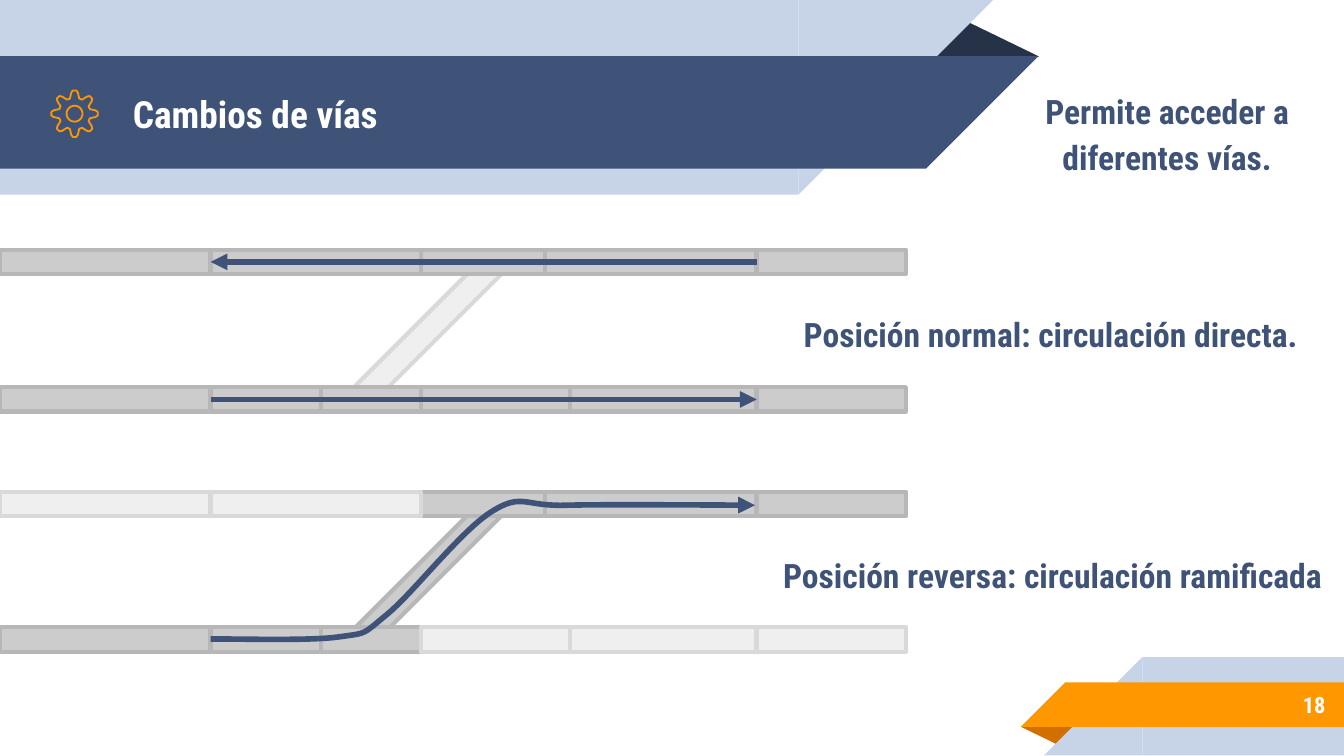
"""Builds the slide on track switches and their two positions."""
import dataclasses
import itertools
import math

import pptx
import pptx.dml.color
import pptx.enum.shapes
import pptx.enum.text
import pptx.oxml
import pptx.oxml.ns
import pptx.util

Cm = pptx.util.Cm
Pt = pptx.util.Pt
SHAPE = pptx.enum.shapes.MSO_SHAPE
ALIGN = pptx.enum.text.PP_ALIGN


@dataclasses.dataclass(frozen=True)
class Theme:
    font: str = "Roboto Condensed"
    white: str = "FFFFFF"
    pale: str = "C7D3E6"
    navy: str = "3F5378"
    night: str = "263248"
    orange: str = "FF9800"
    rust: str = "D26F00"
    active: tuple = ("CCCCCC", "B7B7B7")
    idle: tuple = ("EFEFEF", "D9D9D9")
    title_size: int = 20
    body_size: int = 18
    number_size: int = 12
    gear_line: float = 0.96
    rail_line: float = 2.25
    route_line: float = 3


def rgb(color):
    return pptx.dml.color.RGBColor.from_string(color)


def curve_points(start, segments, steps=16):
    points = [start]
    for segment in segments:
        corners = (points[-1], *segment)
        for step in range(1, steps + 1):
            t = step / steps
            weights = ((1 - t) ** 3, 3 * t * (1 - t) ** 2, 3 * t * t * (1 - t), t ** 3)
            points.append(tuple(sum(w * c[axis] for w, c in zip(weights, corners))
                                for axis in (0, 1)))
    return points


def polar_points(center, profile):
    return [(center[0] + radius * math.sin(math.radians(angle)),
             center[1] - radius * math.cos(math.radians(angle)))
            for angle, radius in profile]


class SlideBuilder:
    def __init__(self, slide, theme):
        self.slide = slide
        self.shapes = slide.shapes
        self.theme = theme

    def shape(self, kind, box, fill, line=None, rotation=0):
        shape = self.shapes.add_shape(kind, *map(Cm, box))
        shape.shadow.inherit = False
        shape.rotation = rotation
        shape.fill.solid()
        shape.fill.fore_color.rgb = rgb(fill)
        if line:
            self.stroke(shape.line, line, self.theme.rail_line)
        else:
            shape.line.fill.background()
        return shape

    def stroke(self, line, color, width, arrow=False):
        line.color.rgb = rgb(color)
        line.width = Pt(width)
        if arrow:
            line._get_or_add_ln().append(pptx.oxml.parse_xml(
                f'<a:tailEnd {pptx.oxml.ns.nsdecls("a")} type="triangle"/>'))

    def fold(self, box, fill, rotation=0):
        self.shape(SHAPE.ISOSCELES_TRIANGLE, box, fill, rotation=rotation).adjustments[0] = 0.324

    def band(self, box, fill, slant_left, rotation):
        left, top, width, height = box
        self.shape(SHAPE.RECTANGLE, box, fill)
        self.shape(SHAPE.RIGHT_TRIANGLE, (slant_left, top, height, height), fill, rotation=rotation)

    def header_band(self, top, width, height, fill):
        self.band((0, top, width, height), fill, width, 90)

    def footer_band(self, left, top, height, fill):
        self.band((left, top, 25.4 - left, height), fill, left - height, 270)

    def rail(self, top, joints, active):
        spans = list(itertools.pairwise(joints))
        for index in sorted(range(len(spans)), key=lambda i: i not in active):
            start, end = spans[index]
            style = self.theme.active if index in active else self.theme.idle
            self.shape(SHAPE.RECTANGLE, (start, top, end - start, 0.46), *style)

    def ramp(self, top, style):
        self.shape(SHAPE.RECTANGLE, (6.25, top, 3.66, 0.46), *style, rotation=135)

    def arrow(self, start, end):
        arrow = self.shapes.add_connector(pptx.enum.shapes.MSO_CONNECTOR.STRAIGHT,
                                          *map(Cm, (*start, *end)))
        self.stroke(arrow.line, self.theme.navy, self.theme.route_line, arrow=True)
        arrow._element.spPr.append(pptx.oxml.parse_xml(
            f'<a:effectLst {pptx.oxml.ns.nsdecls("a")}/>'))

    def outline(self, contours, color, width, close=True, arrow=False):
        contours = [[(Cm(x), Cm(y)) for x, y in contour] for contour in contours]
        builder = self.shapes.build_freeform(*contours[0][0])
        builder.add_line_segments(contours[0][1:], close=close)
        for contour in contours[1:]:
            builder.move_to(*contour[0])
            builder.add_line_segments(contour[1:], close=close)
        shape = builder.convert_to_shape()
        shape.shadow.inherit = False
        shape.fill.background()
        self.stroke(shape.line, color, width, arrow)

    def gear(self, center):
        tooth = ((-17, 0.3), (-9, 0.4), (-4.5, 0.44), (4.5, 0.44), (9, 0.4), (17, 0.3))
        rim = [(turn + angle, radius) for turn in range(0, 360, 45) for angle, radius in tooth]
        hub = [(angle, 0.15) for angle in range(0, 360, 10)]
        self.outline([polar_points(center, rim), polar_points(center, hub)],
                     self.theme.orange, self.theme.gear_line)

    def set_text(self, holder, box, text, size, color, align=ALIGN.LEFT, spacing=1.0):
        holder.left, holder.top, holder.width, holder.height = map(Cm, box)
        frame = holder.text_frame
        frame.text = text
        frame.word_wrap = True
        frame.auto_size = pptx.enum.text.MSO_AUTO_SIZE.NONE
        frame.vertical_anchor = pptx.enum.text.MSO_ANCHOR.MIDDLE
        frame.margin_left = frame.margin_right = Cm(0.25)
        frame.margin_top = frame.margin_bottom = Cm(0.25)
        paragraph = frame.paragraphs[0]
        paragraph.alignment = align
        paragraph.line_spacing = spacing
        paragraph.font.name = self.theme.font
        paragraph.font.size = Pt(size)
        paragraph.font.bold = True
        paragraph.font.color.rgb = rgb(color)

    def title(self, box, text):
        title = self.shapes.title
        self.shapes._spTree.append(title._element)
        self.set_text(title, box, text, self.theme.title_size, self.theme.white)

    def text(self, box, text, *style, **layout):
        self.set_text(self.shapes.add_textbox(*map(Cm, box)), box, text, *style, **layout)


def main():
    deck = pptx.Presentation()
    deck.slide_width, deck.slide_height = Cm(25.4), Cm(14.29)
    theme = Theme()
    page = SlideBuilder(deck.slides.add_slide(deck.slide_layouts[5]), theme)

    page.fold((17.48, 0.36, 2.16, 0.71), theme.night)
    page.header_band(0, 15.09, 3.68, theme.pale)
    page.header_band(1.06, 17.5, 2.13, theme.navy)
    page.fold((19.3, 13.74, 1.09, 0.36), theme.rust, rotation=180)
    page.footer_band(21.59, 12.42, 1.86, theme.pale)
    page.footer_band(20.13, 12.9, 0.84, theme.orange)

    page.title((2.26, 1.09, 15.27, 2.13), "Cambios de vías")
    page.gear((1.41, 2.15))
    body = (theme.body_size, theme.navy)
    page.text((18.72, 1.7, 6.68, 1.55), "Permite acceder a diferentes vías.", *body,
              align=ALIGN.CENTER, spacing=1.15)
    page.text((14.94, 5.49, 10.46, 1.55), "Posición normal: circulación directa.", *body,
              spacing=1.15)
    page.text((14.55, 10.03, 10.85, 1.55), "Posición reversa: circulación ramificada", *body,
              spacing=1.15)
    page.text((21.16, 12.88, 4.14, 0.89), "18", theme.number_size, theme.white,
              align=ALIGN.RIGHT)

    upper_joints = (0, 3.98, 7.96, 10.3, 14.3, 17.12)
    lower_joints = (0, 3.98, 6.07, 7.96, 10.77, 14.3, 17.12)
    page.ramp(6.02, theme.idle)
    page.rail(4.72, upper_joints, range(5))
    page.rail(7.32, lower_joints, range(6))
    page.arrow((14.3, 4.95), (3.98, 4.95))
    page.arrow((3.98, 7.55), (14.3, 7.55))

    page.ramp(10.59, theme.active)
    page.rail(9.3, upper_joints, (2, 3, 4))
    page.rail(11.86, lower_joints, (0, 1, 2))
    branch = curve_points((3.98, 12.08), (
        ((4.4, 12.07), (5.84, 12.12), (6.4, 12.04)),
        ((6.96, 11.96), (6.83, 12.01), (7.32, 11.61)),
        ((7.8, 11.22), (8.74, 10), (9.31, 9.66)),
        ((9.88, 9.31), (9.9, 9.58), (10.73, 9.55)),
        ((11.56, 9.53), (13.69, 9.55), (14.27, 9.55))))
    page.outline([branch], theme.navy, theme.route_line, close=False, arrow=True)

    deck.save("out.pptx")


if __name__ == "__main__":
    main()
